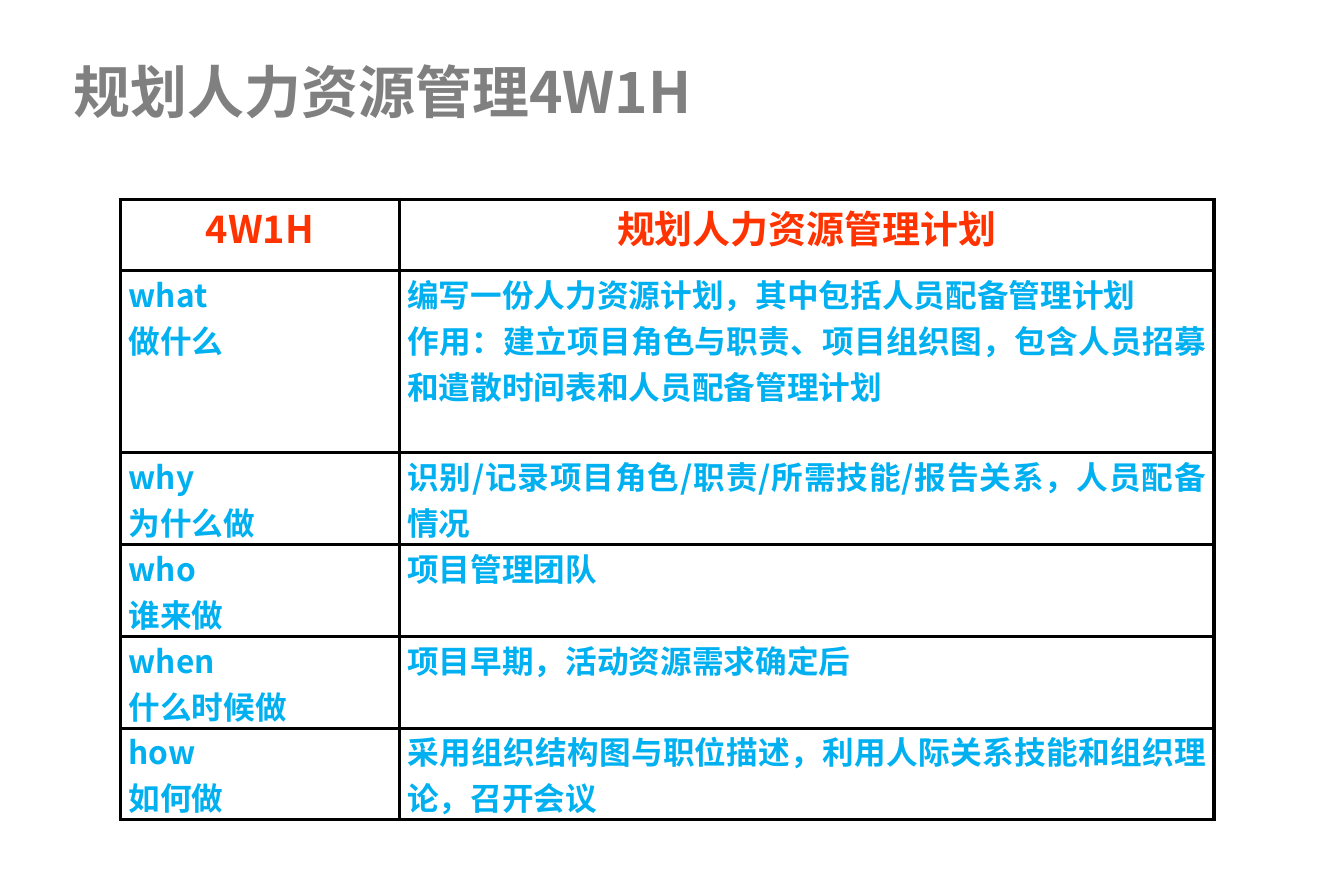
from lxml.etree import SubElement
from pptx import Presentation
from pptx.dml.color import RGBColor
from pptx.enum.text import MSO_ANCHOR, MSO_AUTO_SIZE, PP_ALIGN
from pptx.oxml.ns import qn
from pptx.util import Inches, Pt

TITLE = "规划人力资源管理4W1H"
HEADER = ("4W1H", "规划人力资源管理计划")
QUESTIONS = [
    ("what\n做什么",
     "编写一份人力资源计划，其中包括人员配备管理计划\n"
     "作用：建立项目角色与职责、项目组织图，包含人员招募和遣散时间表和人员配备管理计划"),
    ("why\n为什么做", "识别/记录项目角色/职责/所需技能/报告关系，人员配备情况"),
    ("who\n谁来做", "项目管理团队"),
    ("when\n什么时候做", "项目早期，活动资源需求确定后"),
    ("how\n如何做", "采用组织结构图与职位描述，利用人际关系技能和组织理论，召开会议"),
]
COLORS = {"title": "808080", "header": "FF3300", "body": "00B0F0",
          "border": "000000", "cell": "FFFFFF"}
FONT = "Noto Sans CJK SC"
SLIDE_WIDTH, SLIDE_HEIGHT = Pt(850.5), Pt(567)
COLUMN_WIDTHS = (2.45, 7.16)
LINE_HEIGHT = 0.4
ROW_HEIGHTS = [0.63] + [LINE_HEIGHT * lines for lines in (4, 2, 2, 2, 2)]


def format_text(frame, size, color, alignment):
    for paragraph in frame.paragraphs:
        paragraph.alignment = alignment
        for run in paragraph.runs:
            run.font.name = FONT
            run.font.size = Pt(size)
            run.font.bold = True
            run.font.color.rgb = RGBColor.from_string(COLORS[color])
            SubElement(run.font._element, qn("a:ea"), typeface=FONT)


def add_borders(cell):
    properties = cell._tc.get_or_add_tcPr()
    for side in ("lnL", "lnR", "lnT", "lnB"):
        border = SubElement(properties, qn(f"a:{side}"), w=str(Pt(2.25)))
        fill = SubElement(border, qn("a:solidFill"))
        SubElement(fill, qn("a:srgbClr"), val=COLORS["border"])


def fill_cell(cell, text, size, color, alignment):
    cell.text_frame.text = text
    format_text(cell.text_frame, size, color, alignment)
    cell.margin_left = cell.margin_right = Inches(0.07)
    cell.margin_top = cell.margin_bottom = 0
    add_borders(cell)
    cell.fill.solid()
    cell.fill.fore_color.rgb = RGBColor.from_string(COLORS["cell"])


def add_title(slide):
    title = slide.shapes.title
    title.left, title.top = Inches(0.54), Inches(0.49)
    title.width, title.height = Inches(10.63), Inches(0.62)
    frame = title.text_frame
    frame.text = TITLE
    frame.word_wrap = True
    frame.auto_size = MSO_AUTO_SIZE.NONE
    frame.vertical_anchor = MSO_ANCHOR.MIDDLE
    frame.margin_left = frame.margin_right = Inches(0.11)
    frame.margin_top = frame.margin_bottom = Inches(0.06)
    format_text(frame, 36, "title", PP_ALIGN.LEFT)


def add_questions(slide):
    rows = [HEADER] + QUESTIONS
    table = slide.shapes.add_table(
        len(rows), len(HEADER), Inches(1.06), Inches(1.75),
        Inches(sum(COLUMN_WIDTHS)), Inches(sum(ROW_HEIGHTS))).table
    table.horz_banding = False
    for column, width in zip(table.columns, COLUMN_WIDTHS):
        column.width = Inches(width)
    for row, height, texts in zip(table.rows, ROW_HEIGHTS, rows):
        row.height = Inches(height)
        style = ((24, "header", PP_ALIGN.CENTER) if texts is HEADER
                 else (20, "body", PP_ALIGN.JUSTIFY))
        for cell, text in zip(row.cells, texts):
            fill_cell(cell, text, *style)


def main():
    deck = Presentation()
    deck.slide_width, deck.slide_height = SLIDE_WIDTH, SLIDE_HEIGHT
    slide = deck.slides.add_slide(deck.slide_layouts[5])
    add_title(slide)
    add_questions(slide)
    deck.save("out.pptx")


if __name__ == "__main__":
    main()
